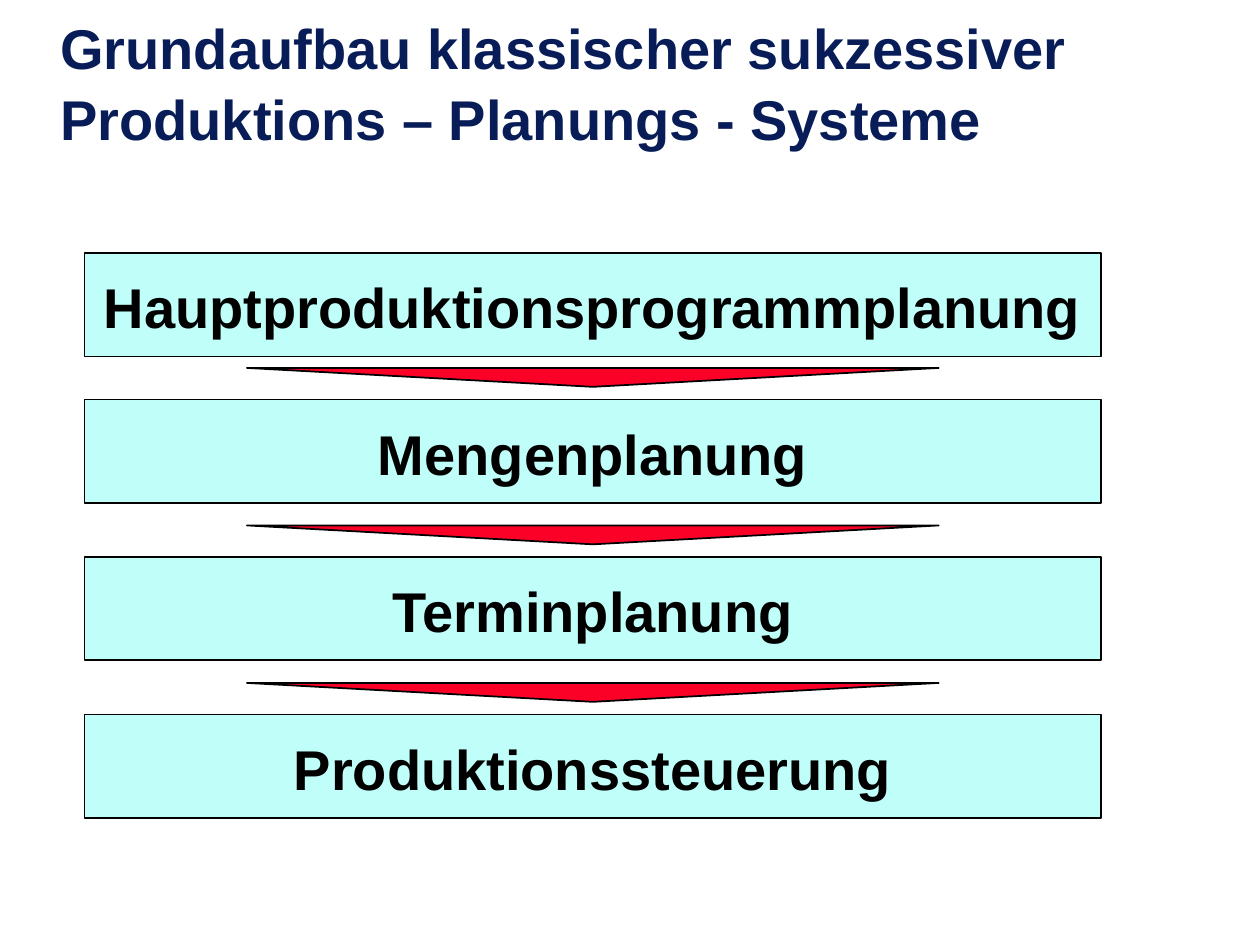
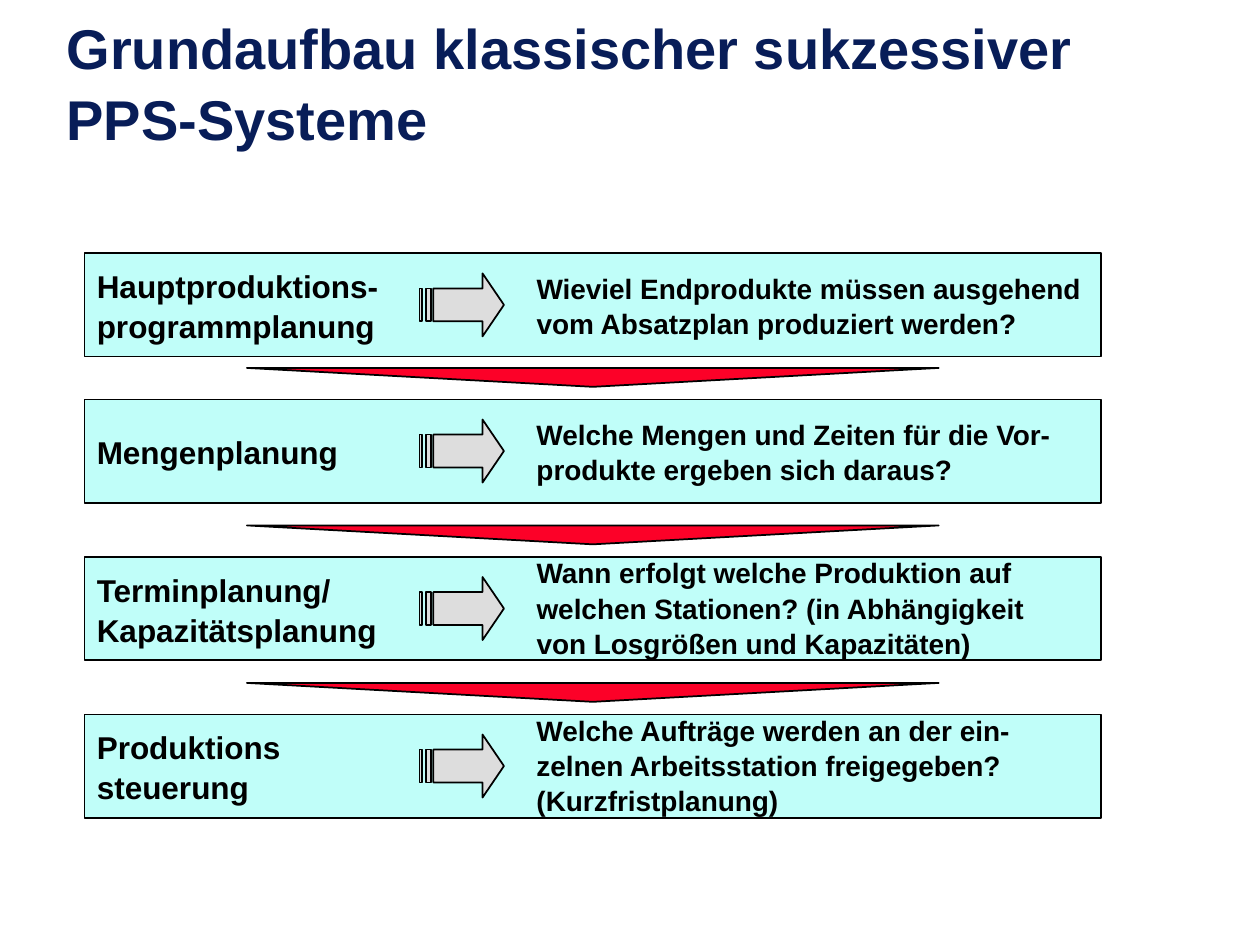
from pptx import Presentation
from pptx.dml.color import RGBColor
from pptx.enum.shapes import MSO_SHAPE
from pptx.enum.text import MSO_ANCHOR, MSO_AUTO_SIZE, PP_ALIGN
from pptx.util import Inches, Pt

RECTANGLE, TRIANGLE = MSO_SHAPE.RECTANGLE, MSO_SHAPE.ISOSCELES_TRIANGLE
TOP, MIDDLE, BOTTOM = MSO_ANCHOR.TOP, MSO_ANCHOR.MIDDLE, MSO_ANCHOR.BOTTOM
LEFT, CENTER = PP_ALIGN.LEFT, PP_ALIGN.CENTER
GROW = MSO_AUTO_SIZE.SHAPE_TO_FIT_TEXT

COLORS = {"title": "081D58", "band": "C0FEF9", "wedge": "FC0128",
          "arrow": "DDDDDD", "ink": "000000"}
FONT = "Arial"
LINE_SPACING = 1.05

# Shared planning stages: four bands with a wedge between neighbours
BAND_LEFT, BAND_WIDTH, BAND_HEIGHT = 0.67, 8.07, 0.82
BAND_TOPS = [2.01, 3.17, 4.42, 5.67]
WEDGE_TOPS = [2.92 + 1.25 * step for step in range(3)]

# Striped arrow outlines, relative to the arrow's top left corner
ARROW_PARTS = [
    [(0.5, 0), (0.5, 0.12), (0.11, 0.12), (0.11, 0.38), (0.5, 0.38), (0.5, 0.5), (0.67, 0.25)],
    [(0.05, 0.12), (0.05, 0.38), (0.09, 0.38), (0.09, 0.12)],
    [(0, 0.12), (0, 0.38), (0.02, 0.38), (0.02, 0.12)],
]

# In the texts, \n starts a paragraph and \v breaks a line
STAGES = ["Hauptproduktionsprogrammplanung", "Mengenplanung",
          "Terminplanung", "Produktionssteuerung"]
STAGES_WITH_QUESTIONS = [
    ("Hauptproduktions-\nprogrammplanung", 4.58,
     "Wieviel Endprodukte müssen ausgehend\vvom Absatzplan produziert werden?"),
    ("Mengenplanung", 4.3,
     "Welche Mengen und Zeiten für die Vor-\nprodukte ergeben sich daraus?"),
    ("Terminplanung/\vKapazitätsplanung", 4.08,
     "Wann erfolgt welche Produktion auf\vwelchen Stationen? (in Abhängigkeit\n"
     "von Losgrößen und Kapazitäten)"),
    ("Produktions\nsteuerung", 3.97,
     "Welche Aufträge werden an der ein-\nzelnen Arbeitsstation freigegeben?\n"
     "(Kurzfristplanung)"),
]


def color(name):
    return RGBColor.from_string(COLORS[name])


def write(shape, text, size, color_name="ink", anchor=MIDDLE, alignment=LEFT):
    text_frame = shape.text_frame
    text_frame.word_wrap = True
    text_frame.vertical_anchor = anchor
    text_frame.text = text
    for paragraph in text_frame.paragraphs:
        paragraph.alignment = alignment
        paragraph.line_spacing = LINE_SPACING
        for run in paragraph.runs:
            run.font.name = FONT
            run.font.size = Pt(size)
            run.font.bold = True
            run.font.color.rgb = color(color_name)


def paint(shape, fill_name):
    shape.shadow.inherit = False
    shape.fill.solid()
    shape.fill.fore_color.rgb = color(fill_name)
    shape.line.color.rgb = color("ink")
    shape.line.width = Pt(1)


def add_title(slide, left, text):
    box = slide.shapes.add_textbox(Inches(left), 0, Inches(8.5), Inches(1.25))
    write(box, text, 32, "title", BOTTOM)


def add_band(slide, top, text, size, alignment):
    band = slide.shapes.add_shape(RECTANGLE, Inches(BAND_LEFT), Inches(top),
                                  Inches(BAND_WIDTH), Inches(BAND_HEIGHT))
    paint(band, "band")
    write(band, text, size, alignment=alignment)


def add_wedges(slide):
    for top in WEDGE_TOPS:
        wedge = slide.shapes.add_shape(TRIANGLE, Inches(1.96), Inches(top),
                                       Inches(5.49), Inches(0.15))
        wedge.rotation = 180
        paint(wedge, "wedge")


def add_striped_arrow(slide, left, top):
    outlines = [[(Inches(left + x), Inches(top + y)) for x, y in part]
                for part in ARROW_PARTS]
    builder = slide.shapes.build_freeform(*outlines[0][0])
    for outline in outlines:
        if outline is not outlines[0]:
            builder.move_to(*outline[0])
        builder.add_line_segments(outline[1:], close=True)
    paint(builder.convert_to_shape(), "arrow")


def add_question(slide, band_top, width, text):
    line_count = 1 + text.count("\n") + text.count("\v")
    top = band_top + 0.38 - 0.15 * line_count
    height = 0.1 + 0.27 * line_count
    box = slide.shapes.add_textbox(Inches(4.16), Inches(top), Inches(width), Inches(height))
    write(box, text, 16, anchor=TOP)
    box.text_frame.word_wrap = False
    box.text_frame.auto_size = GROW


def add_slide(presentation, title_left, title):
    slide = presentation.slides.add_slide(presentation.slide_layouts[6])
    add_title(slide, title_left, title)
    return slide


def main():
    presentation = Presentation()
    presentation.slide_width = Inches(10)
    presentation.slide_height = Inches(7.5)

    # Overview of the stages
    slide = add_slide(presentation, 0.38,
                      "Grundaufbau klassischer sukzessiver\vProduktions – Planungs - Systeme")
    for top, stage in zip(BAND_TOPS, STAGES):
        add_band(slide, top, stage, 32, CENTER)
    add_wedges(slide)

    # Stages with the question each one answers
    slide = add_slide(presentation, 0.43, "Grundaufbau klassischer sukzessiver\vPPS-Systeme")
    for top, (stage, width, question) in zip(BAND_TOPS, STAGES_WITH_QUESTIONS):
        add_band(slide, top, stage, 18, LEFT)
        add_striped_arrow(slide, 3.33, top + 0.16)
        add_question(slide, top, width, question)
    add_wedges(slide)

    presentation.save("out.pptx")


if __name__ == "__main__":
    main()
